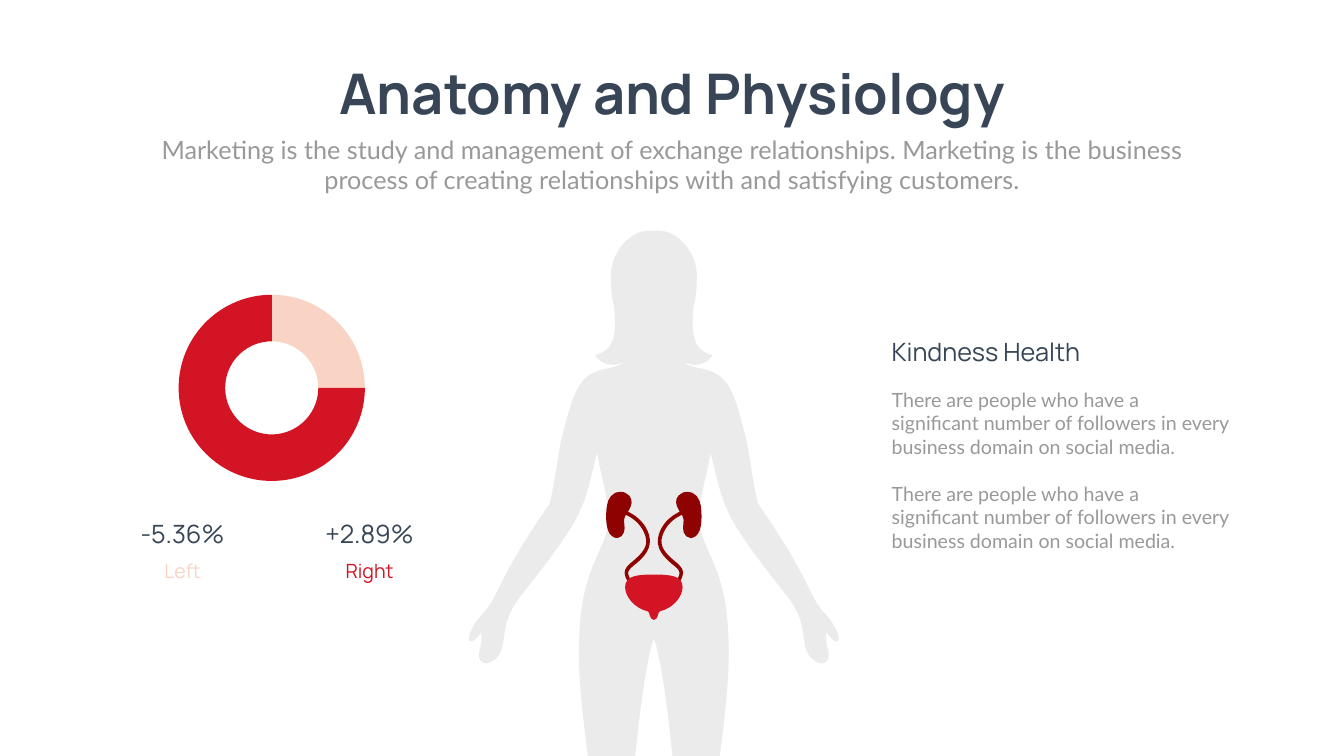
from dataclasses import dataclass

from lxml.etree import SubElement
from pptx import Presentation
from pptx.chart.data import CategoryChartData
from pptx.dml.color import RGBColor
from pptx.enum.chart import XL_CHART_TYPE
from pptx.enum.text import MSO_ANCHOR, MSO_AUTO_SIZE, PP_ALIGN
from pptx.oxml.ns import qn
from pptx.util import Inches, Pt

WIDE, HIGH = 26.66, 15
AXIS = 12.97  # the body is symmetric about this line, in inches
UNIT = 1000  # outline units per inch
NAVY, GREY, PALE, RED, DARK = "374556", "999999", "F9D4C5", "D21424", "8F0202"
SKIN, PAPER = "EBEBEB", "FEFFFE"
LEFT, MID = PP_ALIGN.LEFT, PP_ALIGN.CENTER

Path = list[tuple[float, ...]]  # two numbers are a line, six are a curve


@dataclass
class Box:
    """Place and size, in percent of the slide."""
    x: float
    y: float
    w: float
    h: float

    def emu(self) -> tuple[int, ...]:
        return (Inches(self.x * WIDE / 100), Inches(self.y * HIGH / 100),
                Inches(self.w * WIDE / 100), Inches(self.h * HIGH / 100))


@dataclass
class Note:
    box: Box
    paras: list[str]
    size: float
    font: str
    color: str
    align: PP_ALIGN = MID
    bold: bool = False
    gap: float = 0  # space before each later paragraph
    pitch: float | None = None  # line height in points


def rgb(color: str) -> RGBColor:
    return RGBColor.from_string(color)


def write(shape, note: Note) -> None:
    shape.left, shape.top, shape.width, shape.height = note.box.emu()
    frame = shape.text_frame
    frame.text = "\n".join(note.paras)
    frame.word_wrap = True
    frame.auto_size = MSO_AUTO_SIZE.NONE
    frame.vertical_anchor = MSO_ANCHOR.TOP
    for i, para in enumerate(frame.paragraphs):
        para.alignment = note.align
        if i:
            para.space_before = Pt(note.gap)
        if note.pitch:
            para.line_spacing = Pt(note.pitch)
        for run in para.runs:
            run.font.name, run.font.size = note.font, Pt(note.size)
            run.font.bold = note.bold
            run.font.color.rgb = rgb(note.color)


def flip(half: Path) -> Path:
    return [tuple(n if i % 2 else 2 * AXIS - n for i, n in enumerate(seg))
            for seg in half]


def whole(half: Path) -> Path:
    """Go down the right half and back up its mirror image."""
    side, back = flip(half), []
    for prev, seg in zip(side[-2::-1], side[:0:-1]):
        turn = seg[2:4] + seg[:2] if len(seg) == 6 else ()
        back.append(turn + prev[-2:])
    return half + back


def draw(slide, route: Path, color: str) -> None:
    ends = [(seg[-2] * UNIT, seg[-1] * UNIT) for seg in route]
    pen = slide.shapes.build_freeform(*ends[0], scale=Inches(1) / UNIT)
    pen.add_line_segments(ends[1:], close=True)
    shape = pen.convert_to_shape()
    # Bend the straight segments into Bezier curves
    base = [min(axis) for axis in zip(*ends)]
    for line, seg in zip(shape._element.xpath(".//a:lnTo"), route[1:]):
        if len(seg) == 6:
            curve = SubElement(line.getparent(), qn("a:cubicBezTo"))
            for i in (0, 2, 4):
                x, y = seg[i] * UNIT - base[0], seg[i + 1] * UNIT - base[1]
                SubElement(curve, qn("a:pt"), x=str(round(x)), y=str(round(y)))
            line.getparent().replace(line, curve)
    shape.shadow.inherit = False
    shape.fill.solid()
    shape.fill.fore_color.rgb = rgb(color)
    shape.line.fill.background()


def ring(slide, box: Box, parts: dict[str, float], colors: list[str]) -> None:
    data = CategoryChartData()
    data.categories = list(parts)
    data.add_series("Series 1", list(parts.values()))
    chart = slide.shapes.add_chart(XL_CHART_TYPE.DOUGHNUT, *box.emu(), data).chart
    chart.has_title = chart.has_legend = False
    chart.font.name, chart.font.size = "Calibri", Pt(10)
    chart.font.color.rgb = rgb(GREY)
    plot = chart.plots[0]
    plot.vary_by_categories = True
    for hole in plot._element.xpath("c:holeSize"):
        hole.set("val", "65")
    for i, color in enumerate(colors):
        look = plot.series[0].points[i].format
        look.fill.solid()
        look.fill.fore_color.rgb = rgb(color)
        look.line.fill.background()


# Right half of the body: head, hair, arm, hand, waist, leg
BODY: Path = [
    (AXIS, 4.58), (13.08, 4.57, 13.18, 4.58, 13.28, 4.62),
    (13.51, 4.71, 13.87, 5.05, 13.82, 5.6), (13.82, 5.76, 13.8, 5.94, 13.76, 6.07),
    (13.73, 6.37, 13.72, 6.64, 13.82, 6.83), (13.9, 6.97, 14.07, 7.04, 14.12, 7.04),
    (14.16, 7.05, 13.96, 7.31, 13.67, 7.22), (13.56, 7.19),
    (13.64, 7.25, 13.77, 7.29, 13.9, 7.31), (14.45, 7.41, 14.56, 7.74, 14.8, 8.71),
    (14.86, 8.96, 14.93, 9.53, 15.01, 9.88), (15.04, 10),
    (15.52, 10.69, 15.75, 11.1, 15.91, 11.4), (16, 11.57, 16.17, 11.94, 16.25, 12.04),
    (16.32, 12.13, 16.46, 12.27, 16.51, 12.36), (16.64, 12.56, 16.66, 12.69, 16.62, 12.72),
    (16.55, 12.78, 16.46, 12.61, 16.39, 12.55), (16.39, 12.64, 16.38, 12.75, 16.42, 12.87),
    (16.5, 13.13, 16.32, 13.26, 16.12, 13.08), (15.82, 12.82, 16.09, 12.44, 15.63, 11.85),
    (15.38, 11.53, 14.68, 10.66, 14.47, 10.21), (14.42, 10.1, 14.37, 9.99, 14.33, 9.88),
    (14.21, 9.51, 14.15, 9.14, 14.09, 8.99), (14.07, 9.17, 14.01, 9.4, 13.96, 9.63),
    (13.91, 9.87), (13.88, 10.08, 13.86, 10.29, 13.9, 10.49),
    (13.96, 10.9, 14.32, 11.25, 14.42, 12.22), (14.52, 13.17, 14.39, 14.05, 14.3, 14.84),
    (14.28, 15), (13.34, 15), (13.32, 14.83), (13.24, 13.98, 13.07, 12.86, AXIS, 12.68)]
TUBE: Path = [
    (13.39, 11.61), (13.4, 11.61, 13.54, 11.54, 13.55, 11.36),
    (13.55, 11.28, 13.48, 11.21, 13.38, 11.13), (13.23, 11, 13.06, 10.85, 13.14, 10.63),
    (13.26, 10.25, 13.67, 10.16, 13.68, 10.16), (13.66, 10.09),
    (13.65, 10.09, 13.2, 10.19, 13.07, 10.6), (12.98, 10.88, 13.18, 11.06, 13.33, 11.19),
    (13.41, 11.25, 13.48, 11.31, 13.48, 11.37), (13.46, 11.51, 13.37, 11.54, 13.37, 11.54)]
KIDNEY: Path = [
    (13.54, 10.24), (13.56, 10.31), (13.56, 10.31, 13.56, 10.36, 13.55, 10.48),
    (13.54, 10.58, 13.64, 10.75, 13.8, 10.64), (13.95, 10.53, 13.92, 10.15, 13.9, 10.03),
    (13.88, 9.9, 13.8, 9.75, 13.62, 9.76), (13.58, 9.76, 13.54, 9.77, 13.52, 9.79),
    (13.41, 9.84, 13.39, 9.96, 13.43, 10.05), (13.45, 10.08, 13.46, 10.1, 13.47, 10.13),
    (13.51, 10.2)]
BLADDER: Path = [  # right half
    (AXIS, 11.4), (13.29, 11.4, 13.54, 11.42, 13.54, 11.65),
    (13.54, 11.84, 13.35, 12.07, 13.09, 12.13), (13.05, 12.13, 13.06, 12.3, AXIS, 12.3)]

TITLE = Note(Box(22.39, 7.47, 55.25, 9.67), ["Anatomy and Physiology"],
             80, "Manrope", NAVY, bold=True)
CLAIM = ("There are people who have a significant number of followers "
         "in every business domain on social media.")
NOTES = [
    Note(Box(10.95, 17.4, 78.09, 8.73),
         ["Marketing is the study and management of exchange relationships. Marketing is "
          "the business process of creating relationships with and satisfying customers."],
         36, "Lato", GREY),
    Note(Box(65.98, 44.1, 19.17, 4.73), ["Kindness Health"], 36, "Manrope", NAVY, LEFT),
    Note(Box(65.98, 50.93, 25.96, 22.67), [CLAIM, CLAIM], 28, "Lato", GREY, LEFT, gap=33.6)]
STATS = [("-5.36%", "Left", PALE), ("+2.89%", "Right", RED)]


def main() -> None:
    deck = Presentation()
    deck.slide_width, deck.slide_height = Inches(WIDE), Inches(HIGH)
    slide = deck.slides.add_slide(deck.slide_layouts[5])
    slide.background.fill.solid()
    slide.background.fill.fore_color.rgb = rgb(PAPER)

    # Title
    write(slide.shapes.title, TITLE)

    # Body and organs
    draw(slide, whole(BODY), SKIN)
    for part in (TUBE, KIDNEY):
        draw(slide, part, DARK)
        draw(slide, flip(part), DARK)
    draw(slide, whole(BLADDER), RED)

    # Ring chart with its two figures
    ring(slide, Box(12.53, 38.07, 15.38, 26.47), {"1": 25, "2": 75}, [PALE, RED])
    stats = []
    for i, (value, name, color) in enumerate(STATS):
        x = 9.75 + 13.92 * i
        stats += [Note(Box(x, 68.2, 7.65, 4.73), [value], 36, "Manrope", NAVY),
                  Note(Box(x, 73, 7.65, 4.33), [name], 28, "Manrope", color, pitch=40.8)]

    # Text
    for note in NOTES + stats:
        write(slide.shapes.add_textbox(*note.box.emu()), note)

    deck.save("out.pptx")


if __name__ == "__main__":
    main()
